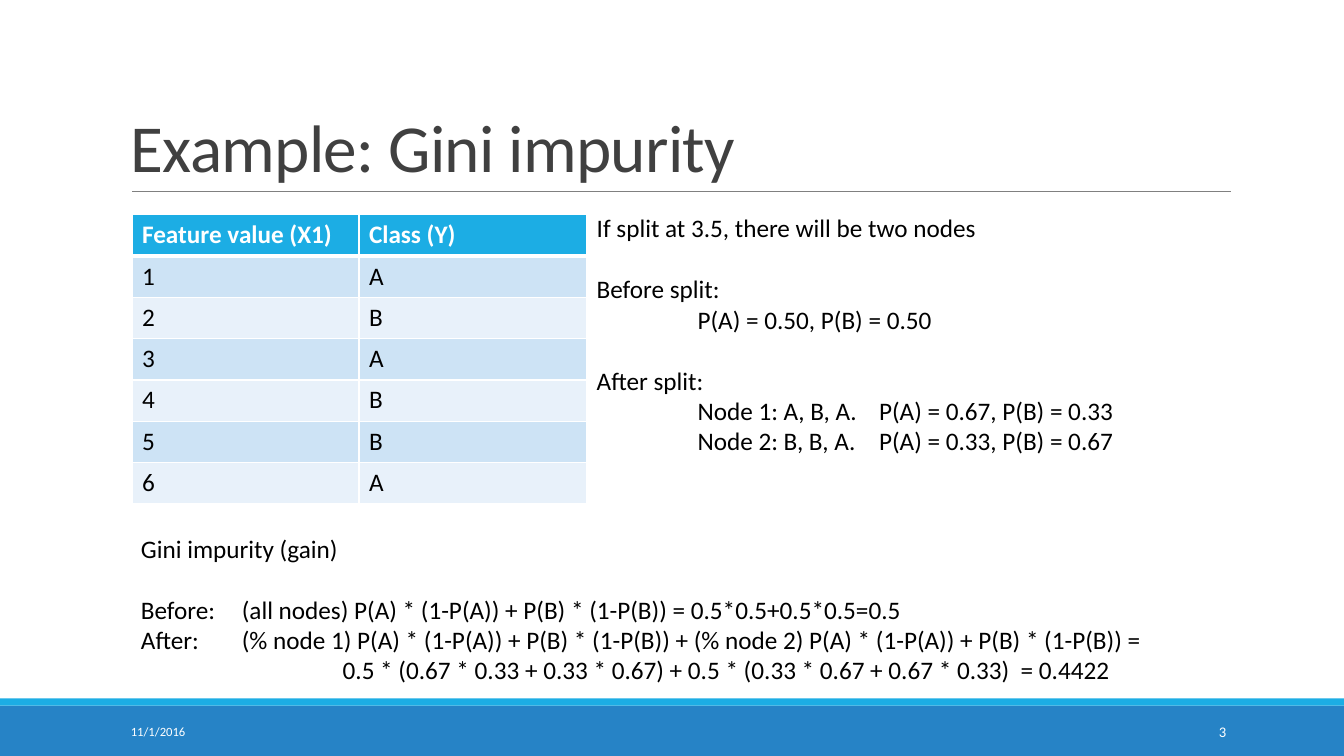
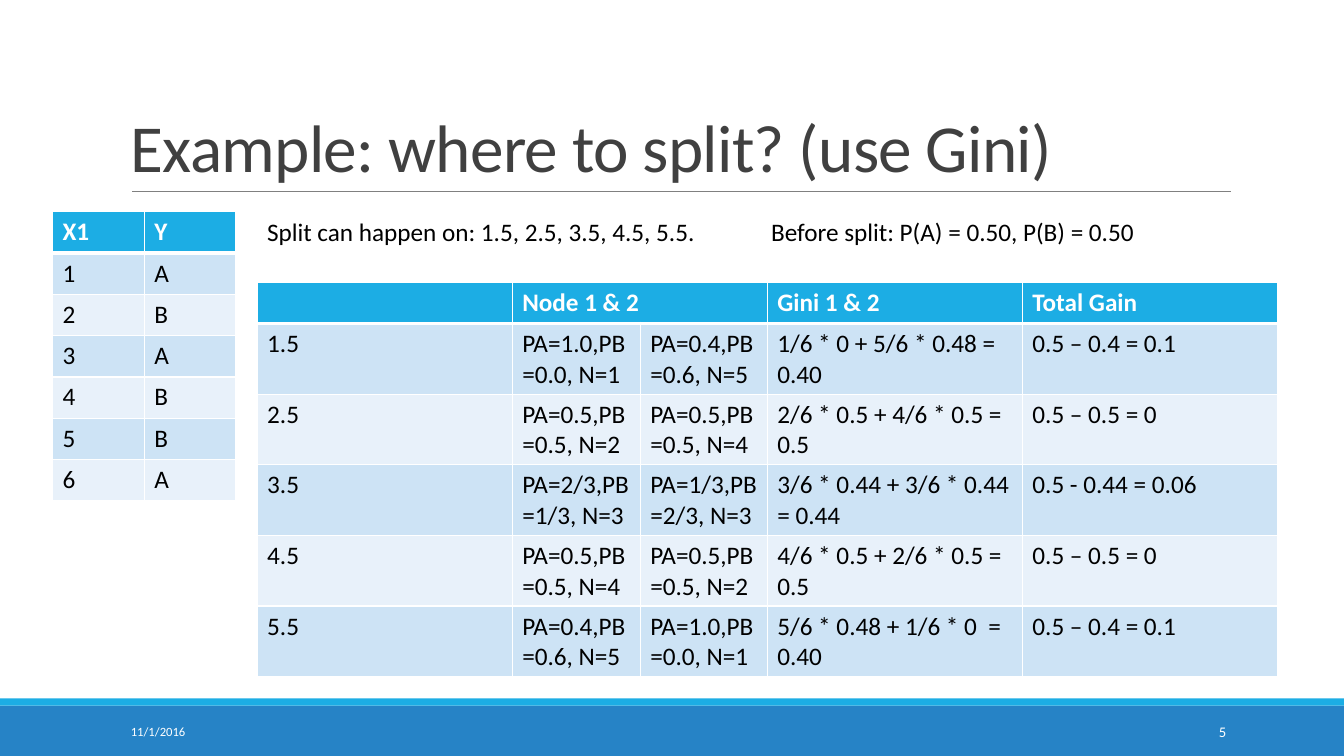
from lxml.etree import SubElement
from pptx import Presentation
from pptx.dml.color import RGBColor
from pptx.enum.shapes import MSO_CONNECTOR, MSO_SHAPE
from pptx.enum.text import MSO_ANCHOR, PP_ALIGN
from pptx.oxml.ns import qn
from pptx.util import Inches, Pt

COLORS = {
    "band": "2683C6", "accent": "1CADE4", "rule": "808080", "title": "404040",
    "text": "000000", "white": "FFFFFF", "odd": "CDE3F5", "even": "E8F1FA",
}
FONT = "Calibri"
BODY_SIZE = 18
LINE_GAP = 22  # points, one body line
ROW_H = 0.41

SAMPLES = [("1", "A"), ("2", "B"), ("3", "A"), ("4", "B"), ("5", "B"), ("6", "A")]


def rgb(name):
    return RGBColor.from_string(COLORS[name])


class Deck:
    def __init__(self):
        self.prs = Presentation()
        self.prs.slide_width = Inches(13.33)
        self.prs.slide_height = Inches(7.5)
        self.s = None

    def slide(self, title, number):
        self.s = self.prs.slides.add_slide(self.prs.slide_layouts[6])
        # Bands and title rule
        self.band(7, 0.5, "band")
        self.band(6.93, 0.07, "accent")
        self.rule(1.31, 12.21, 1.9)
        # Title
        tf = self.box(1.2, 0.31, 11, 1.59, MSO_ANCHOR.BOTTOM)
        p = tf.paragraphs[0]
        p.line_spacing = 0.85
        r = self.run(p, title, 48, "title")
        r.font._element.set("spc", "-50")
        # Footer
        tf = self.box(1.2, 7.06, 2.7, 0.4, MSO_ANCHOR.MIDDLE)
        self.run(tf.paragraphs[0], "11/1/2016", 9, "white")
        tf = self.box(10.83, 7.06, 1.43, 0.4, MSO_ANCHOR.MIDDLE)
        tf.paragraphs[0].alignment = PP_ALIGN.RIGHT
        self.run(tf.paragraphs[0], number, 10.5, "white")

    def band(self, top, height, color):
        sp = self.s.shapes.add_shape(MSO_SHAPE.RECTANGLE, 0, Inches(top),
                                     self.prs.slide_width, Inches(height))
        sp.shadow.inherit = False
        sp.fill.solid()
        sp.fill.fore_color.rgb = rgb(color)
        sp.line.fill.background()

    def rule(self, left, right, y):
        line = self.s.shapes.add_connector(MSO_CONNECTOR.STRAIGHT, Inches(left),
                                           Inches(y), Inches(right), Inches(y))
        line.line.color.rgb = rgb("rule")
        line.line.width = Pt(0.5)
        SubElement(line._element.spPr, qn("a:effectLst"))

    def box(self, left, top, width, height, anchor=MSO_ANCHOR.TOP):
        sp = self.s.shapes.add_textbox(Inches(left), Inches(top),
                                       Inches(width), Inches(height))
        tf = sp.text_frame
        tf.word_wrap = True
        tf.vertical_anchor = anchor
        return tf

    def run(self, p, text, size=BODY_SIZE, color="text", bold=False):
        r = p.add_run()
        r.text = text
        r.font.name = FONT
        r.font.size = Pt(size)
        r.font.bold = bold
        r.font.color.rgb = rgb(color)
        return r

    def body(self, left, top, width, height, lines, new_block=(), tabs=()):
        """Body text; lines whose index is in new_block get a gap above."""
        tf = self.box(left, top, width, height)
        for i, text in enumerate(lines):
            p = tf.paragraphs[0] if i == 0 else tf.add_paragraph()
            if i in new_block:
                p.space_before = Pt(LINE_GAP)
            if tabs:
                tab_list = SubElement(p._p.get_or_add_pPr(), qn("a:tabLst"))
                for pos in tabs:
                    SubElement(tab_list, qn("a:tab"), pos=str(Inches(pos)), algn="l")
            self.run(p, text)

    def table(self, left, top, widths, header, rows, row_h=ROW_H):
        data = [header, *rows]
        height = ROW_H + row_h * len(rows)
        table = self.s.shapes.add_table(len(data), len(widths), Inches(left), Inches(top),
                                        Inches(sum(widths)), Inches(height)).table
        for col, width in zip(table.columns, widths):
            col.width = Inches(width)
        for i, values in enumerate(data):
            table.rows[i].height = Inches(row_h if i else ROW_H)
            fill = ("even", "odd")[i % 2] if i else "accent"
            for j, text in enumerate(values):
                cell = table.cell(i, j)
                self.borders(cell, top=3 if i == 1 else 1, bottom=1 if i else 3)
                cell.fill.solid()
                cell.fill.fore_color.rgb = rgb(fill)
                if text:
                    self.run(cell.text_frame.paragraphs[0], text,
                             color="text" if i else "white", bold=i == 0)
        return table

    def borders(self, cell, top, bottom):
        tc_pr = cell._tc.get_or_add_tcPr()
        for side, width in (("L", 1), ("R", 1), ("T", top), ("B", bottom)):
            ln = SubElement(tc_pr, qn("a:ln" + side), w=str(Pt(width)))
            fill = SubElement(ln, qn("a:solidFill"))
            SubElement(fill, qn("a:srgbClr"), val=COLORS["white"])


def gini_impurity(deck):
    deck.slide("Example: Gini impurity", "3")
    deck.table(1.31, 2.13, [2.25, 2.26], ("Feature value (X1)", "Class (Y)"), SAMPLES)
    # Class shares before and after the split
    deck.body(5.82, 2.06, 5.72, 3.13, [
        "If split at 3.5, there will be two nodes",
        "Before split:",
        "\tP(A) = 0.50, P(B) = 0.50",
        "After split:",
        "\tNode 1: A, B, A.\tP(A) = 0.67, P(B) = 0.33",
        "\tNode 2: B, B, A.\tP(A) = 0.33, P(B) = 0.67",
    ], new_block=(1, 3), tabs=(1, 2.8))
    # Gain calculation
    deck.body(1.3, 5.24, 11.68, 1.62, [
        "Gini impurity (gain)",
        "Before: \t(all nodes) P(A) * (1-P(A)) + P(B) * (1-P(B)) = 0.5*0.5+0.5*0.5=0.5",
        "After: \t(% node 1) P(A) * (1-P(A)) + P(B) * (1-P(B)) + "
        "(% node 2) P(A) * (1-P(A)) + P(B) * (1-P(B)) =",
        "\t\t0.5 * (0.67 * 0.33 + 0.33 * 0.67) + 0.5 * (0.33 * 0.67 + 0.67 * 0.33)  = 0.4422",
    ], new_block=(1,), tabs=(1, 2))


def where_to_split(deck):
    deck.slide("Example: where to split? (use Gini)", "5")
    deck.table(0.52, 2.1, [0.91, 0.91], ("X1", "Y"), SAMPLES)
    deck.body(2.55, 2.1, 9.71, 0.71, [
        "Split can happen on: 1.5, 2.5, 3.5, 4.5, 5.5. \tBefore split: P(A) = 0.50, P(B) = 0.50",
    ], tabs=(5,))
    # Gain for each split point
    table = deck.table(
        2.55, 2.8, [2.53, 1.27, 1.26, 2.53, 2.53],
        ("", "Node 1 & 2", "", "Gini 1 & 2", "Total Gain"),
        [
            ("1.5", "PA=1.0,PB=0.0, N=1", "PA=0.4,PB=0.6, N=5",
             "1/6 * 0 + 5/6 * 0.48 = 0.40", "0.5 – 0.4 = 0.1"),
            ("2.5", "PA=0.5,PB=0.5, N=2", "PA=0.5,PB=0.5, N=4",
             "2/6 * 0.5 + 4/6 * 0.5 = 0.5", "0.5 – 0.5 = 0"),
            ("3.5", "PA=2/3,PB=1/3, N=3", "PA=1/3,PB=2/3, N=3",
             "3/6 * 0.44 + 3/6 * 0.44 = 0.44", "0.5 - 0.44 = 0.06"),
            ("4.5", "PA=0.5,PB=0.5, N=4", "PA=0.5,PB=0.5, N=2",
             "4/6 * 0.5 + 2/6 * 0.5 = 0.5", "0.5 – 0.5 = 0"),
            ("5.5", "PA=0.4,PB=0.6, N=5", "PA=1.0,PB=0.0, N=1",
             "5/6 * 0.48 + 1/6 * 0  = 0.40", "0.5 – 0.4 = 0.1"),
        ], row_h=0.7)
    table.cell(0, 1).merge(table.cell(0, 2))


def main():
    deck = Deck()
    gini_impurity(deck)
    where_to_split(deck)
    deck.prs.save("out.pptx")


if __name__ == "__main__":
    main()
